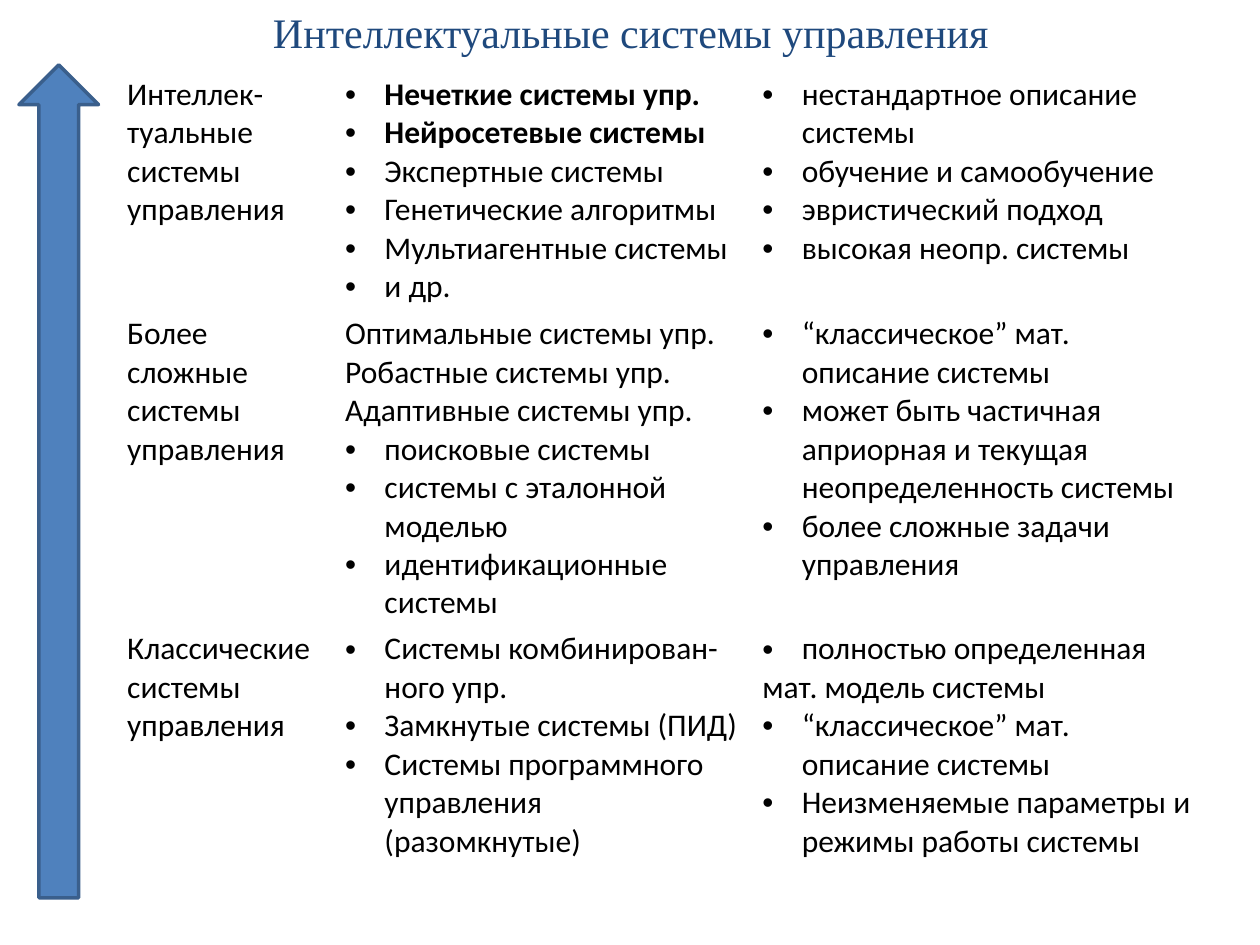
from lxml import etree
from pptx import Presentation
from pptx.dml.color import RGBColor
from pptx.enum.shapes import MSO_SHAPE
from pptx.enum.text import MSO_ANCHOR, PP_ALIGN
from pptx.oxml.ns import qn
from pptx.util import Pt

ARROW = MSO_SHAPE.DOWN_ARROW
MIDDLE = MSO_ANCHOR.MIDDLE
CENTER = PP_ALIGN.CENTER
INDENT = Pt(22.5)
COLS = (124.5, 238.5, 266)
ROWS = (125, 165, 184)

# Leading "• " marks a bulleted line, "*" a bold one.
LEVELS = [
    (
        ["Интеллек-", "туальные системы управления"],
        ["• *Нечеткие системы упр.", "• *Нейросетевые системы",
         "• Экспертные системы", "• Генетические алгоритмы",
         "• Мультиагентные системы", "• и др."],
        ["• нестандартное описание системы", "• обучение и самообучение",
         "• эвристический подход", "• высокая неопр. системы"],
    ),
    (
        ["Более сложные системы управления"],
        ["Оптимальные системы упр.", "Робастные системы упр.",
         "Адаптивные системы упр.", "• поисковые системы",
         "• системы с эталонной моделью", "• идентификационные системы"],
        ["• “классическое” мат. описание системы",
         "• может быть частичная априорная и текущая неопределенность системы",
         "• более сложные задачи управления"],
    ),
    (
        ["Классические системы управления"],
        ["• Системы комбинирован-ного упр.", "• Замкнутые системы (ПИД)",
         "• Системы программного управления (разомкнутые)"],
        ["• полностью определенная", "мат. модель системы",
         "• “классическое” мат. описание системы",
         "• Неизменяемые параметры и режимы работы системы"],
    ),
]


def color(code):
    return RGBColor.from_string(code)


def add_run(para, text, font, size, code, bold=False):
    run = para.add_run()
    run.text = text
    run.font.name = font
    run.font.size = Pt(size)
    run.font.bold = bold
    run.font.color.rgb = color(code)


def set_bullet(para):
    props = para._p.get_or_add_pPr()
    props.set("marL", str(INDENT))
    props.set("indent", str(-INDENT))
    etree.SubElement(props, qn("a:buFont")).set("typeface", "Arial")
    etree.SubElement(props, qn("a:buChar")).set("char", "•")


def add_title(slide, left, top, width, height):
    box = slide.shapes.add_textbox(Pt(left), Pt(top), Pt(width), Pt(height))
    frame = box.text_frame
    frame.word_wrap = True
    frame.vertical_anchor = MIDDLE
    para = frame.paragraphs[0]
    para.alignment = CENTER
    add_run(para, "Интеллектуальные системы управления",
            "Times New Roman", 24, "1F497D")


def add_arrow(slide, left, top, width, height):
    arrow = slide.shapes.add_shape(ARROW, Pt(left), Pt(top), Pt(width), Pt(height))
    arrow.rotation = 180
    arrow.shadow.inherit = False
    arrow.fill.solid()
    arrow.fill.fore_color.rgb = color("4F81BD")
    arrow.line.color.rgb = color("3A5F8C")
    arrow.line.width = Pt(2)


def fill_cell(cell, lines):
    cell.fill.background()
    frame = cell.text_frame
    for i, line in enumerate(lines):
        para = frame.add_paragraph() if i else frame.paragraphs[0]
        if line.startswith("• "):
            set_bullet(para)
        text = line.removeprefix("• ")
        add_run(para, text.removeprefix("*"), "Calibri", 18, "000000",
                text.startswith("*"))


def add_levels(slide, left, top, width, height):
    table = slide.shapes.add_table(
        len(ROWS), len(COLS), Pt(left), Pt(top), Pt(width), Pt(height)).table
    table.first_row = False
    table.horz_banding = False
    for col, size in zip(table.columns, COLS):
        col.width = Pt(size)
    for row, size, level in zip(table.rows, ROWS, LEVELS):
        row.height = Pt(size)
        for cell, lines in zip(row.cells, level):
            fill_cell(cell, lines)


def main():
    deck = Presentation()
    deck.slide_width, deck.slide_height = Pt(720), Pt(540)
    slide = deck.slides.add_slide(deck.slide_layouts[6])
    add_title(slide, 36.5, -1.5, 648, 39.5)
    add_arrow(slide, 10.8, 37, 45.5, 476)
    add_levels(slide, 65.5, 39.5, sum(COLS), sum(ROWS))
    deck.save("out.pptx")


if __name__ == "__main__":
    main()
